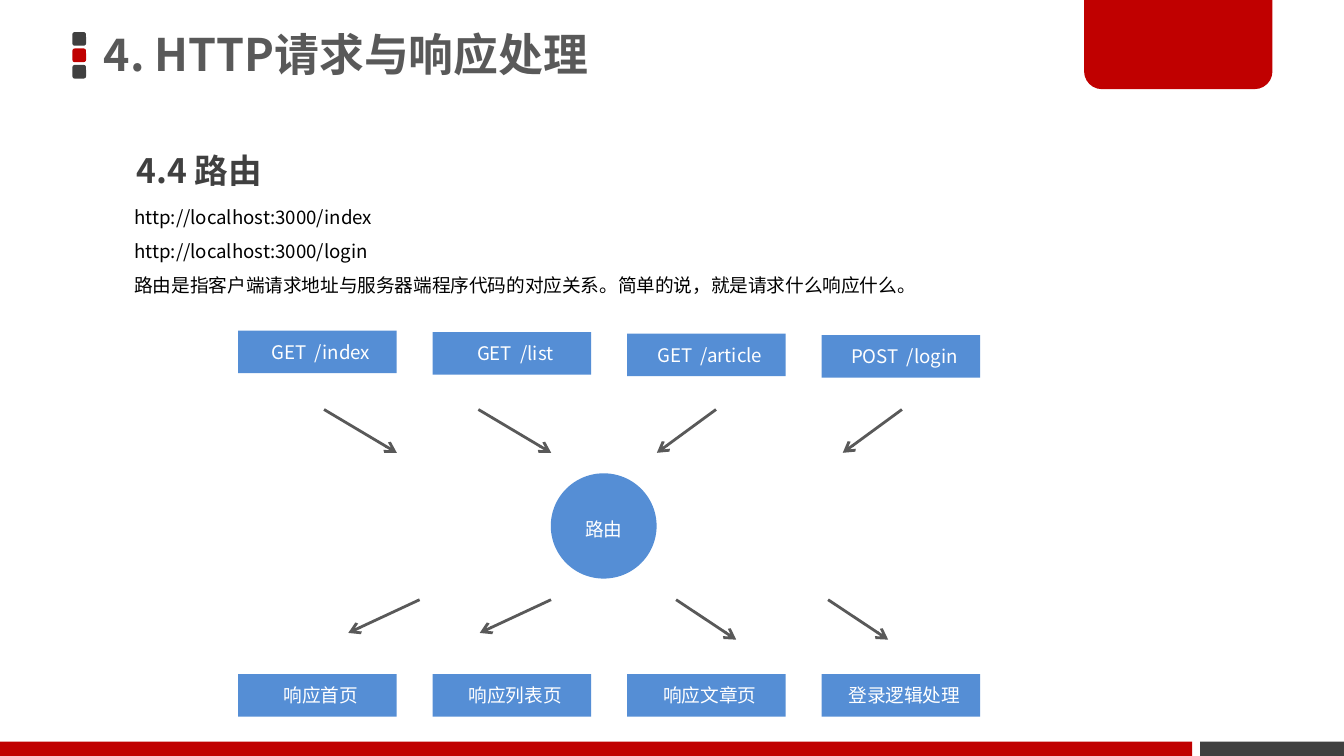
from lxml.etree import SubElement
from pptx import Presentation
from pptx.dml.color import RGBColor
from pptx.enum.shapes import MSO_CONNECTOR, MSO_SHAPE
from pptx.enum.text import MSO_ANCHOR, MSO_AUTO_SIZE, PP_ALIGN
from pptx.oxml.ns import qn
from pptx.util import Pt

FONT = "Noto Sans CJK SC"
BLUE, RED, DARK, GREY = "558ED5", "C00000", "404040", "595959"


def write(box, text, size=10, color="000000", bold=False, align=PP_ALIGN.LEFT,
          anchor=MSO_ANCHOR.TOP, spacing=1.0, insets=(7.2, 3.6, 7.2, 3.6)):
    frame = box.text_frame
    frame.text = text
    frame.word_wrap = True
    frame.auto_size = MSO_AUTO_SIZE.NONE
    frame.vertical_anchor = anchor
    (frame.margin_left, frame.margin_top,
     frame.margin_right, frame.margin_bottom) = map(Pt, insets)
    for para in frame.paragraphs:
        para.alignment = align
        para.line_spacing = spacing
        para.space_before = para.space_after = Pt(0)
        for span in para.runs:
            span.font.size = Pt(size)
            span.font.bold = bold
            span.font.name = FONT
            span.font.color.rgb = RGBColor.from_string(color)
            SubElement(span.font._element, qn("a:ea"), typeface=FONT)


def add_block(kind, left, top, width, height, color):
    block = page.shapes.add_shape(kind, Pt(left), Pt(top), Pt(width), Pt(height))
    block.shadow.inherit = False
    block.fill.solid()
    block.fill.fore_color.rgb = RGBColor.from_string(color)
    block.line.fill.background()
    return block


deck = Presentation()
deck.slide_width, deck.slide_height = Pt(720), Pt(405)
page = deck.slides.add_slide(deck.slide_layouts[1])

for row, color in enumerate([DARK, RED, DARK]):
    add_block(MSO_SHAPE.ROUNDED_RECTANGLE, 38.8, 17.2 + 8.8 * row, 7.3, 7.3, color)
add_block(MSO_SHAPE.RECTANGLE, 643, 397.4, 77, 7.6, DARK)
add_block(MSO_SHAPE.RECTANGLE, 0, 397.4, 638.7, 7.6, RED)
corner_tab = add_block(MSO_SHAPE.ROUND_2_SAME_RECTANGLE, 580.8, 0, 100.9, 47.8, RED)
corner_tab.adjustments[0] = 0
corner_tab.adjustments[1] = 0.2

title, body = page.placeholders
title.left, title.top, title.width, title.height = Pt(49.7), Pt(-1.4), Pt(424), Pt(64)
write(title, "4. HTTP请求与响应处理", size=24, color=GREY, bold=True,
      anchor=MSO_ANCHOR.MIDDLE, spacing=0.9, insets=(5.8, 2.9, 5.8, 2.9))

heading = page.shapes.add_textbox(Pt(66), Pt(66.2), Pt(276.5), Pt(39.6))
write(heading, "4.4 路由", size=18, color=DARK, bold=True, spacing=1.5)

body.left, body.top, body.width, body.height = Pt(64.8), Pt(100.8), Pt(522), Pt(61.2)
write(body, "http://localhost:3000/index\nhttp://localhost:3000/login\n"
      "路由是指客户端请求地址与服务器端程序代码的对应关系。简单的说，就是请求什么响应什么。", spacing=1.5)
for para in body.text_frame.paragraphs:
    properties = para._p.get_or_add_pPr()
    properties.set("marL", "0")
    properties.set("indent", "0")
    SubElement(properties, qn("a:buNone"))

requests = ["GET  /index", "GET  /list", "GET  /article", "POST  /login"]
responses = ["响应首页", "响应列表页", "响应文章页", "登录逻辑处理"]
for labels, top, step in [(requests, 177.2, 0.8), (responses, 361.2, 0)]:
    for column, label in enumerate(labels):
        block = add_block(MSO_SHAPE.RECTANGLE, 127.5 + 104.2 * column,
                          top + step * column, 85, 22.8, BLUE)
        write(block, label, color="FFFFFF", align=PP_ALIGN.CENTER,
              anchor=MSO_ANCHOR.MIDDLE, insets=(3.6, 0, 0, 0))

router = add_block(MSO_SHAPE.OVAL, 295.1, 253.6, 56.7, 56.4, BLUE)
write(router, "路由", color="FFFFFF", align=PP_ALIGN.CENTER,
      anchor=MSO_ANCHOR.MIDDLE, insets=(0, 3, 0, 0))

arrows = [
    (173.6, 219.4, 39, 23.2), (256.3, 219.4, 39, 23.2),
    (383.6, 219.4, -31.7, 23.2), (483.2, 219.4, -31.7, 23.2),
    (224.8, 321.3, -38.2, 17.8), (295.2, 321.3, -38.2, 17.8),
    (362.2, 321.3, 32.2, 21.4), (443.6, 321.3, 32.2, 21.4),
]
for left, top, across, down in arrows:
    arrow = page.shapes.add_connector(MSO_CONNECTOR.STRAIGHT, Pt(left), Pt(top),
                                      Pt(left + across), Pt(top + down))
    arrow.line.width = Pt(1.5)
    arrow.line.color.rgb = RGBColor.from_string(GREY)
    SubElement(arrow.line._get_or_add_ln(), qn("a:tailEnd"), type="arrow")
    SubElement(arrow._element.spPr, qn("a:effectLst"))

deck.save("out.pptx")
